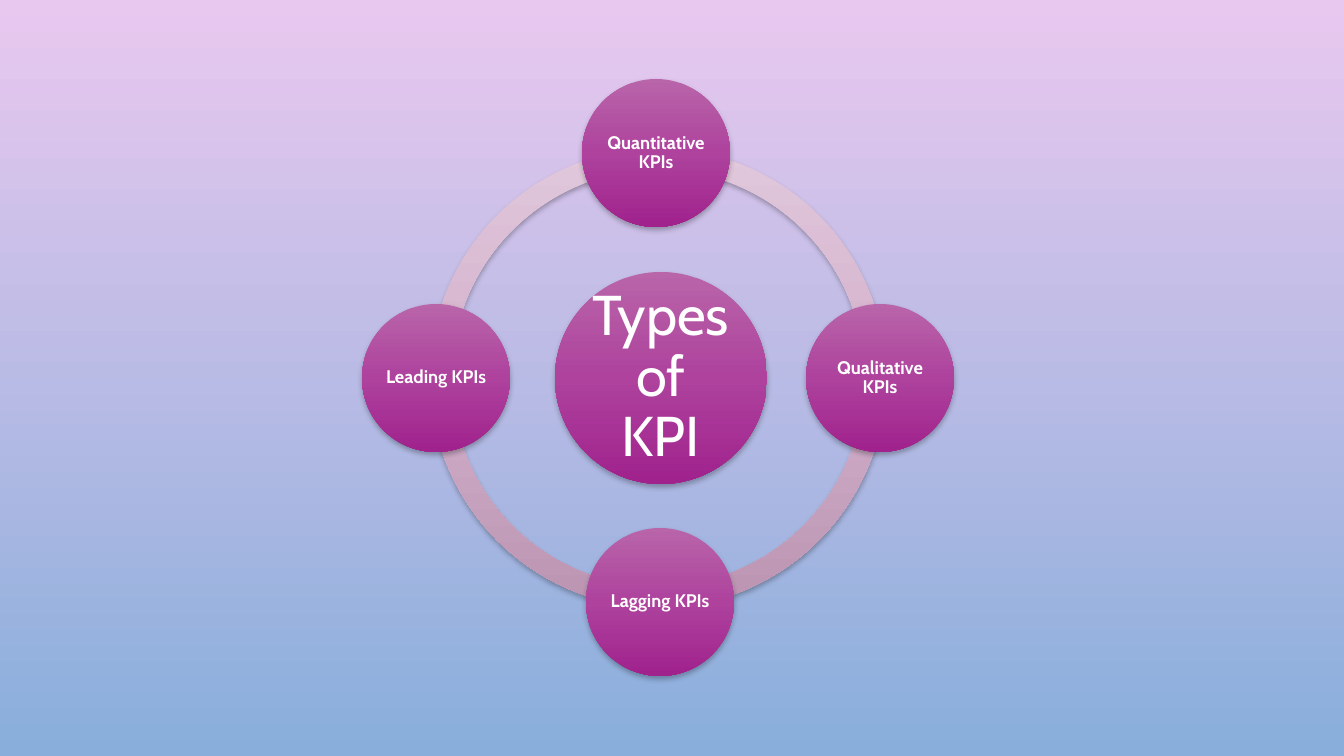
from dataclasses import dataclass

from lxml.etree import SubElement
from pptx import Presentation
from pptx.dml.color import RGBColor
from pptx.dml.fill import FillFormat
from pptx.enum.shapes import MSO_SHAPE as Shape
from pptx.enum.text import MSO_ANCHOR as Anchor, PP_ALIGN as Align
from pptx.oxml.ns import qn
from pptx.shapes.autoshape import Shape as AutoShape
from pptx.slide import Slide
from pptx.util import Emu, Pt

EMU_PER_PX = 914400 / 100.8
PAGE_WIDTH, PAGE_HEIGHT = 1344, 756
BACKGROUND = ("E9C8EF", "89AEDB")
RING_COLOURS = ("E1C8DB", "D3B0CC", "BA94B1")
DISC_COLOURS = ("B965AA", "AE429D", "A0228D")
RING_TOP, RING_SIZE, RING_THICKNESS = 148, 460, 0.046
ADJUSTMENT_PER_DEGREE = 0.6


@dataclass(frozen=True)
class RingArc:
    left: int
    start: float
    end: float


@dataclass(frozen=True)
class Disc:
    label: str
    left: int
    top: int
    size: int = 148
    font_size: int = 13
    bold: bool = True
    inset: int = 2


ARCS = [
    RingArc(430, 180, 268.8),
    RingArc(430, 90, 180),
    RingArc(426, 360, 88.8),
    RingArc(426, 270, 0),
]
DISCS = [
    Disc("Types of KPI", 555, 272, size=212, font_size=40, bold=False, inset=6),
    Disc("Quantitative KPIs", 582, 79),
    Disc("Qualitative KPIs", 806, 304),
    Disc("Lagging KPIs", 586, 528),
    Disc("Leading KPIs", 362, 304),
]


def px(length: int) -> Emu:
    """Turn whole pixels into EMU."""
    return Emu(round(length * EMU_PER_PX))


def rgb(colour: str) -> RGBColor:
    """Turn a hex string into a colour."""
    return RGBColor.from_string(colour)


def fade(fill: FillFormat, top: str, bottom: str) -> None:
    """Fill with a gradient running from top to bottom."""
    fill.gradient()
    fill.gradient_angle = 270
    for stop, colour, position in zip(fill.gradient_stops, (top, bottom), (0, 1)):
        stop.color.rgb = rgb(colour)
        stop.position = position


def add_round_shape(page: Slide, kind: Shape, left: int, top: int, size: int,
                    colours: tuple[str, str, str]) -> AutoShape:
    """Add a square-framed shape with a three-colour gradient and a soft shadow."""
    shape = page.shapes.add_shape(kind, px(left), px(top), px(size), px(size))
    first, middle, last = colours
    fade(shape.fill, first, last)
    properties = shape._element.spPr
    stops = properties.find(f".//{qn('a:gsLst')}")
    middle_stop = SubElement(stops, qn("a:gs"), pos="50000")
    SubElement(middle_stop, qn("a:srgbClr"), val=middle)
    stops.insert(1, middle_stop)
    shape.line.fill.background()
    shape.shadow.inherit = False
    shadow = SubElement(properties.find(qn("a:effectLst")), qn("a:outerShdw"),
                        blurRad=str(Pt(4)), dist=str(Pt(2)), dir="5400000",
                        rotWithShape="0")
    shadow_colour = SubElement(shadow, qn("a:srgbClr"), val="000000")
    SubElement(shadow_colour, qn("a:alpha"), val="28000")
    return shape


def add_arc(page: Slide, arc: RingArc) -> None:
    """Add one stretch of the ring."""
    shape = add_round_shape(page, Shape.BLOCK_ARC, arc.left, RING_TOP, RING_SIZE, RING_COLOURS)
    shape.adjustments[0] = arc.start * ADJUSTMENT_PER_DEGREE
    shape.adjustments[1] = arc.end * ADJUSTMENT_PER_DEGREE
    shape.adjustments[2] = RING_THICKNESS


def add_disc(page: Slide, disc: Disc) -> None:
    """Add a circle with its centred label."""
    shape = add_round_shape(page, Shape.OVAL, disc.left, disc.top, disc.size, DISC_COLOURS)
    frame = shape.text_frame
    frame.word_wrap = True
    frame.vertical_anchor = Anchor.MIDDLE
    frame.margin_left = frame.margin_right = px(disc.inset)
    frame.margin_top = frame.margin_bottom = px(disc.inset)
    para = frame.paragraphs[0]
    para.text = disc.label
    para.alignment = Align.CENTER
    para.line_spacing = 0.9
    para.font.name = "Cabin"
    para.font.size = Pt(disc.font_size)
    para.font.bold = disc.bold
    para.font.color.rgb = rgb("FFFFFF")


def main() -> None:
    """Build the slide and save it."""
    deck = Presentation()
    deck.slide_width, deck.slide_height = px(PAGE_WIDTH), px(PAGE_HEIGHT)
    page = deck.slides.add_slide(deck.slide_layouts[6])
    fade(page.background.fill, *BACKGROUND)
    for arc in ARCS:
        add_arc(page, arc)
    for disc in DISCS:
        add_disc(page, disc)
    deck.save("out.pptx")


if __name__ == "__main__":
    main()
